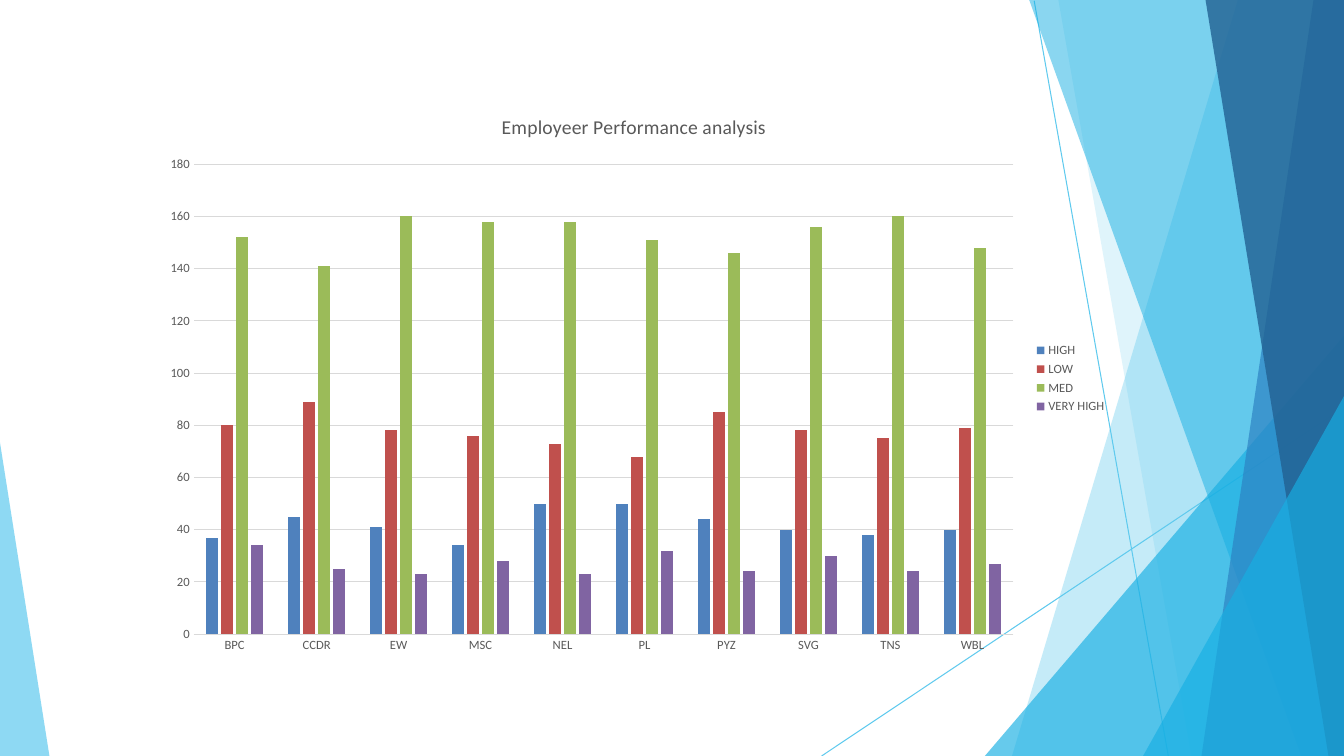
from dataclasses import dataclass
from typing import Any

from lxml import etree
from pptx import Presentation
from pptx.chart.data import CategoryChartData
from pptx.dml.color import RGBColor
from pptx.enum.chart import XL_CHART_TYPE, XL_LEGEND_POSITION, XL_TICK_MARK
from pptx.enum.shapes import MSO_CONNECTOR
from pptx.oxml import parse_xml
from pptx.oxml.ns import qn
from pptx.util import Inches, Pt

COLUMN = XL_CHART_TYPE.COLUMN_CLUSTERED
RIGHT = XL_LEGEND_POSITION.RIGHT
NO_TICK = XL_TICK_MARK.NONE
STRAIGHT = MSO_CONNECTOR.STRAIGHT
WIDE, HIGH = Inches(13.333), Inches(7.5)

Point = tuple[float, float]


@dataclass(frozen=True)
class Theme:
    font: str = "Calibri"
    sky: str = "5FCAEE"
    cyan: str = "17AFE3"
    blue: str = "2D83C3"
    navy: str = "226192"
    text: str = "595959"
    grid: str = "D9D9D9"
    title: float = 14
    label: float = 9
    hair: float = 0.75


@dataclass(frozen=True)
class Ray:
    start: Point
    end: Point


@dataclass(frozen=True)
class Shard:
    points: list[Point]
    color: str
    alpha: int


@dataclass(frozen=True)
class Series:
    name: str
    color: str
    values: list[int]


THEME = Theme()

# Points are percent shares of the slide's width and height
RAYS = [
    Ray((76.95, 0.1), (86.93, 100)),
    Ray((100, 53.87), (61.13, 100)),
]


def edge(top: float, foot: float, color: str, alpha: int) -> Shard:
    """Full-height shard that ends at the right edge."""
    return Shard([(100, 0), (top, 0), (foot, 100), (100, 100)], color, alpha)


def wedge(peak: float, foot: float, color: str, alpha: int) -> Shard:
    """Triangle in the lower right corner."""
    return Shard([(100, peak), (foot, 100), (100, 100)], color, alpha)


SHARDS = [
    edge(92.1, 75.3, THEME.sky, 36),
    edge(78.75, 88.65, THEME.sky, 20),
    wedge(44.4, 73.28, THEME.cyan, 66),
    edge(76.58, 96.83, THEME.cyan, 50),
    edge(97.73, 89.4, THEME.blue, 70),
    edge(89.7, 98.85, THEME.navy, 80),
    wedge(52.4, 85.05, THEME.cyan, 66),
    Shard([(0, 58.53), (0, 100), (3.68, 100)], THEME.sky, 70),
]

TITLE = "Employeer Performance analysis"
UNITS = ["BPC", "CCDR", "EW", "MSC", "NEL", "PL", "PYZ", "SVG", "TNS", "WBL"]
SERIES = [
    Series("HIGH", "4F81BD", [37, 45, 41, 34, 50, 50, 44, 40, 38, 40]),
    Series("LOW", "C0504D", [80, 89, 78, 76, 73, 68, 85, 78, 75, 79]),
    Series("MED", "9BBB59", [152, 141, 160, 158, 158, 151, 146, 156, 160, 148]),
    Series("VERY HIGH", "8064A2", [34, 25, 23, 28, 23, 32, 24, 30, 24, 27]),
]


def spot(point: Point) -> tuple[int, int]:
    return round(WIDE * point[0] / 100), round(HIGH * point[1] / 100)


def put(item: Any, values: dict[str, Any]) -> None:
    for name, value in values.items():
        setattr(item, name, value)


def ink(fill: Any, color: str) -> None:
    fill.solid()
    fill.fore_color.rgb = RGBColor.from_string(color)


def rule(line: Any, color: str) -> None:
    ink(line.fill, color)
    line.width = Pt(THEME.hair)


def style(font: Any, size: float) -> None:
    put(font, {"name": THEME.font, "size": Pt(size), "bold": False})
    ink(font.fill, THEME.text)


def draw_ray(shapes: Any, ray: Ray) -> None:
    line = shapes.add_connector(STRAIGHT, *spot(ray.start), *spot(ray.end))
    rule(line.line, THEME.sky)
    etree.SubElement(line._element.spPr, qn("a:effectLst"))


def draw_shard(shapes: Any, shard: Shard) -> None:
    first, *rest = [spot(point) for point in shard.points]
    pen = shapes.build_freeform(*first)
    pen.add_line_segments(rest, close=True)
    shape = pen.convert_to_shape()
    shape.shadow.inherit = False
    ink(shape.fill, shard.color)
    shape.line.fill.background()
    tint = shape._element.spPr.find(".//" + qn("a:srgbClr"))
    etree.SubElement(tint, qn("a:alpha")).set("val", str(shard.alpha * 1000))


def clear() -> Any:
    """Chart part format with neither fill nor line."""
    return parse_xml(
        '<c:spPr xmlns:c="http://schemas.openxmlformats.org/drawingml/2006/chart"'
        ' xmlns:a="http://schemas.openxmlformats.org/drawingml/2006/main">'
        "<a:noFill/><a:ln><a:noFill/></a:ln></c:spPr>"
    )


def draw_chart(shapes: Any) -> None:
    data = CategoryChartData()
    data.categories = UNITS
    for row in SERIES:
        data.add_series(row.name, row.values)
    frame = shapes.add_chart(
        COLUMN, *spot((11.25, 12.27)), *spot((71.85, 75.6)), data
    )
    chart = frame.chart
    style(chart.font, THEME.label)

    # Title and legend
    put(chart, {"has_title": True, "has_legend": True})
    chart.chart_title.include_in_layout = False
    text = chart.chart_title.text_frame
    text.text = TITLE
    style(text.paragraphs[0].runs[0].font, THEME.title)
    put(chart.legend, {"position": RIGHT, "include_in_layout": False})
    style(chart.legend.font, THEME.label)

    # Columns
    plot = chart.plots[0]
    put(plot, {"gap_width": 219, "overlap": -27, "vary_by_categories": False})
    for bars, row in zip(plot.series, SERIES):
        bars.invert_if_negative = False
        ink(bars.format.fill, row.color)

    # Axes
    for axis in (chart.category_axis, chart.value_axis):
        put(axis, {"major_tick_mark": NO_TICK, "minor_tick_mark": NO_TICK})
        style(axis.tick_labels.font, THEME.label)
    rule(chart.category_axis.format.line, THEME.grid)
    scale = chart.value_axis
    put(scale, {"minimum_scale": 0, "maximum_scale": 180, "major_unit": 20})
    scale.format.line.fill.background()
    rule(scale.major_gridlines.format.line, THEME.grid)

    # See-through backgrounds
    body = chart._chartSpace.find(qn("c:chart"))
    body.addnext(clear())
    body.find(qn("c:plotArea")).append(clear())


def main() -> None:
    deck = Presentation()
    put(deck, {"slide_width": WIDE, "slide_height": HIGH})
    shapes = deck.slides.add_slide(deck.slide_layouts[6]).shapes

    # Backdrop
    for ray in RAYS:
        draw_ray(shapes, ray)
    for shard in SHARDS:
        draw_shard(shapes, shard)

    draw_chart(shapes)
    deck.save("out.pptx")


if __name__ == "__main__":
    main()
